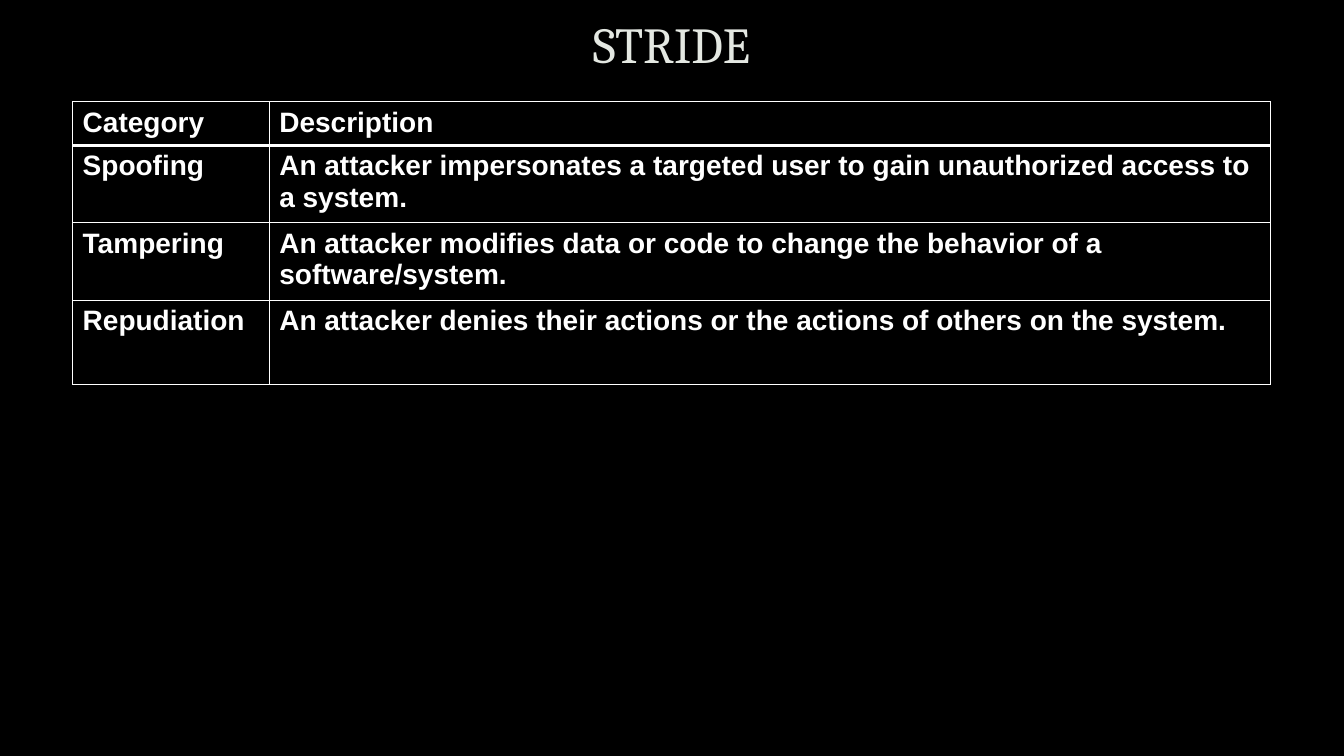
"""Build the STRIDE slide: a title above a table of threat categories."""
from lxml.etree import SubElement as Sub
from pptx import Presentation
from pptx.dml.color import RGBColor
from pptx.enum.text import MSO_ANCHOR as Anchor, PP_ALIGN as Align
from pptx.oxml import parse_xml
from pptx.oxml.ns import nsdecls, qn
from pptx.util import Inches, Pt


def tint(code):
    return RGBColor.from_string(code)


def write(para, text, name, size, code, bold=False):
    run = para.add_run()
    run.text = text
    font = run.font
    font.name, font.size, font.bold = name, Pt(size), bold
    font.color.rgb = tint(code)
    return run


deck = Presentation()
deck.slide_width, deck.slide_height = Inches(13.33), Inches(7.5)
slide = deck.slides.add_slide(deck.slide_layouts[6])
back = slide.background.fill
back.solid()
back.fore_color.rgb = tint("000000")

title = slide.shapes.add_textbox(Inches(1), Inches(0.15), Inches(11.32), Inches(0.64))
frame = title.text_frame
frame.word_wrap = True
frame.vertical_anchor = Anchor.MIDDLE
para = frame.paragraphs[0]
para.alignment = Align.CENTER
para.line_spacing = 0.9
run = write(para, "STRIDE", "Cambria", 36, "E4E8E2")
edge = parse_xml(
    f'<a:ln {nsdecls("a")} w="9525"><a:solidFill><a:srgbClr val="404040">'
    '<a:alpha val="10000"/></a:srgbClr></a:solidFill><a:prstDash val="solid"/></a:ln>'
)
run.font._element.insert(0, edge)

rows = [
    ("Category", "Description"),
    ("Spoofing", "An attacker impersonates a targeted user to gain unauthorized access to a system."),
    ("Tampering", "An attacker modifies data or code to change the behavior of a software/system."),
    ("Repudiation", "An attacker denies their actions or the actions of others on the system."),
]
widths = [1.95, 9.93]
heights = [0.43, 0.65, 0.75, 0.84]

table = slide.shapes.add_table(
    len(rows), len(widths), Inches(0.72), Inches(1.01), Inches(sum(widths)), Inches(sum(heights))
).table
table.horz_banding = False
for col, width in zip(table.columns, widths):
    col.width = Inches(width)
for row, height in zip(table.rows, heights):
    row.height = Inches(height)

for r, texts in enumerate(rows):
    for c, text in enumerate(texts):
        cell = table.cell(r, c)
        write(cell.text_frame.paragraphs[0], text, "Arial", 20, "FFFFFF", True)
        props = cell._tc.get_or_add_tcPr()
        for side in "LRTB":
            thick = (r, side) in ((0, "B"), (1, "T"))
            line = Sub(props, qn(f"a:ln{side}"), w=str(Pt(3 if thick else 1)))
            Sub(Sub(line, qn("a:solidFill")), qn("a:srgbClr"), val="FFFFFF")
        cell.fill.background()

deck.save("out.pptx")
